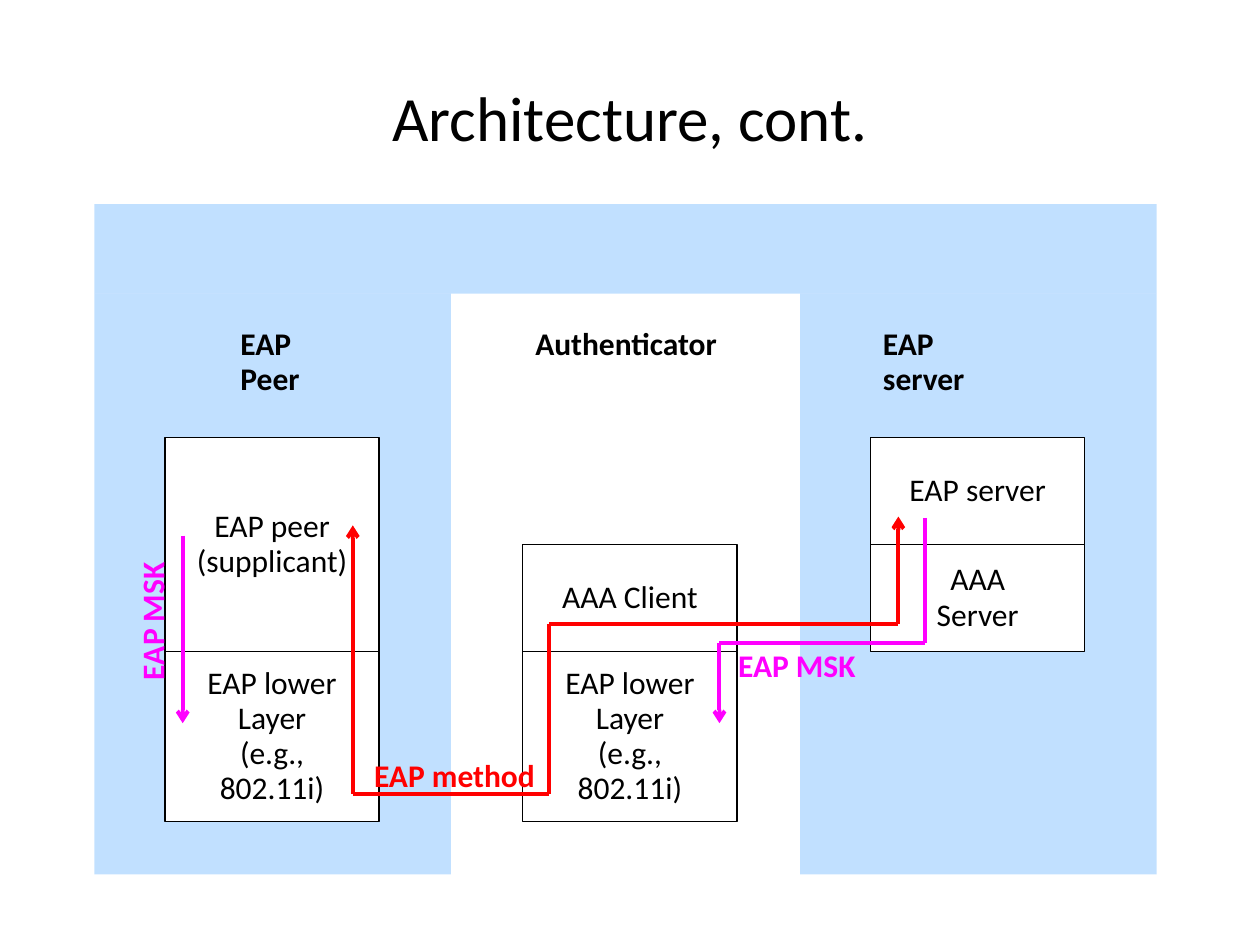
from dataclasses import dataclass

from lxml import etree
from pptx import Presentation
from pptx.dml.color import RGBColor
from pptx.enum.shapes import MSO_CONNECTOR, MSO_SHAPE
from pptx.enum.text import MSO_ANCHOR, MSO_AUTO_SIZE, PP_ALIGN
from pptx.oxml.ns import qn
from pptx.util import Inches, Pt

RECTANGLE = MSO_SHAPE.RECTANGLE
STRAIGHT = MSO_CONNECTOR.STRAIGHT
CENTER = PP_ALIGN.CENTER
MIDDLE = MSO_ANCHOR.MIDDLE
FIT_SHAPE = MSO_AUTO_SIZE.SHAPE_TO_FIT_TEXT
TITLE_ONLY_LAYOUT = 5


@dataclass(frozen=True)
class Theme:
    font: str = "Calibri"
    title_size: int = 36
    text_size: int = 18
    line_spacing: float = 0.93
    box_line: float = 0.75
    route_line: float = 2.25
    black: RGBColor = RGBColor(0x00, 0x00, 0x00)
    white: RGBColor = RGBColor(0xFF, 0xFF, 0xFF)
    band: RGBColor = RGBColor(0x33, 0x99, 0xFF)
    band_alpha: int = 30
    method: RGBColor = RGBColor(0xFF, 0x00, 0x00)
    msk: RGBColor = RGBColor(0xFF, 0x00, 0xFF)


THEME = Theme()

BOX_WIDTH = 1.7
LAYER_HEIGHT = 0.85
LOWER_HEIGHT = 1.35
TOP_Y = 3.47
CLIENT_Y = TOP_Y + LAYER_HEIGHT
LOWER_Y = CLIENT_Y + LAYER_HEIGHT
PEER_X, AUTHENTICATOR_X, SERVER_X = 1.31, 4.15, 6.91

LOWER_LAYER = "EAP lower\nLayer\n(e.g.,\n802.11i)"
BANDS = [
    (6.35, 2.33, 2.83, 4.61),
    (0.75, 2.33, 2.83, 4.61),
    (0.75, 1.62, 8.43, 0.71),
]
BOXES = [
    (PEER_X, TOP_Y, 2 * LAYER_HEIGHT, "EAP peer (supplicant)"),
    (PEER_X, LOWER_Y, LOWER_HEIGHT, LOWER_LAYER),
    (AUTHENTICATOR_X, CLIENT_Y, LAYER_HEIGHT, "AAA Client"),
    (AUTHENTICATOR_X, LOWER_Y, LOWER_HEIGHT, LOWER_LAYER),
    (SERVER_X, CLIENT_Y, LAYER_HEIGHT, "AAA\nServer"),
    (SERVER_X, TOP_Y, LAYER_HEIGHT, "EAP server"),
]
HEADINGS = [
    (1.81, 1.12, "EAP Peer"),
    (AUTHENTICATOR_X, 1.64, "Authenticator"),
    (SERVER_X, 1.3, "EAP server"),
]
SERVER_MSK_ROUTE = [(7.34, 4.11), (7.34, 5.1), (5.71, 5.1), (5.71, 5.74)]
PEER_MSK_ROUTE = [(1.45, 4.25), (1.45, 5.74)]
METHOD_ROUTE = [(2.8, 4.17), (2.8, 6.3), (4.36, 6.3), (4.36, 4.95),
                (7.13, 4.95), (7.13, 4.1)]


def inches(*lengths):
    return [Inches(length) for length in lengths]


def format_paragraph(paragraph, color, size=THEME.text_size, bold=False):
    paragraph.font.name = THEME.font
    paragraph.font.size = Pt(size)
    paragraph.font.bold = bold
    paragraph.font.color.rgb = color


def set_title(slide, text):
    title = slide.shapes.title
    title.left, title.top, title.width, title.height = inches(0.5, 0.3, 9, 1.25)
    title.text_frame.text = text
    title.text_frame.vertical_anchor = MIDDLE
    paragraph = title.text_frame.paragraphs[0]
    paragraph.alignment = CENTER
    format_paragraph(paragraph, THEME.black, THEME.title_size)


def add_rectangle(slide, bounds, color):
    shape = slide.shapes.add_shape(RECTANGLE, *inches(*bounds))
    shape.shadow.inherit = False
    shape.fill.solid()
    shape.fill.fore_color.rgb = color
    return shape


def add_band(slide, bounds):
    """Add a translucent background rectangle without an outline."""
    shape = add_rectangle(slide, bounds, THEME.band)
    shape.line.fill.background()
    color = shape.fill._xPr.find(qn("a:solidFill")).find(qn("a:srgbClr"))
    etree.SubElement(color, qn("a:alpha"), val=str(THEME.band_alpha * 1000))


def add_box(slide, left, top, height, text):
    shape = add_rectangle(slide, (left, top, BOX_WIDTH, height), THEME.white)
    shape.line.color.rgb = THEME.black
    shape.line.width = Pt(THEME.box_line)
    frame = shape.text_frame
    frame.text = text
    frame.word_wrap = True
    frame.vertical_anchor = MIDDLE
    for paragraph in frame.paragraphs:
        paragraph.alignment = CENTER
        paragraph.line_spacing = THEME.line_spacing
        format_paragraph(paragraph, THEME.black)


def add_label(slide, bounds, text, color, rotation=0, line_spacing=None):
    label = slide.shapes.add_textbox(*inches(*bounds))
    label.rotation = rotation
    frame = label.text_frame
    frame.text = text
    frame.word_wrap = False
    frame.auto_size = FIT_SHAPE
    paragraph = frame.paragraphs[0]
    paragraph.line_spacing = line_spacing
    format_paragraph(paragraph, color, bold=True)


def add_arrowhead(connector, end):
    line = connector.line._get_or_add_ln()
    etree.SubElement(line, qn(f"a:{end}"), type="arrow")


def add_route(slide, points, color, both_ends=False):
    """Join the points by straight lines, with an arrowhead at the last one."""
    segments = []
    for start, end in zip(points, points[1:]):
        segment = slide.shapes.add_connector(STRAIGHT, *inches(*start, *end))
        segment.line.color.rgb = color
        segment.line.width = Pt(THEME.route_line)
        etree.SubElement(segment._element.spPr, qn("a:effectLst"))
        segments.append(segment)
    if both_ends:
        add_arrowhead(segments[0], "headEnd")
    add_arrowhead(segments[-1], "tailEnd")


def main():
    presentation = Presentation()
    presentation.slide_width, presentation.slide_height = inches(10, 7.5)
    layout = presentation.slide_layouts[TITLE_ONLY_LAYOUT]
    slide = presentation.slides.add_slide(layout)

    set_title(slide, "Architecture, cont.")
    for bounds in BANDS:
        add_band(slide, bounds)
    for box in BOXES:
        add_box(slide, *box)
    for left, width, text in HEADINGS:
        add_label(slide, (left, 2.55, width, 0.37), text, THEME.black,
                  line_spacing=THEME.line_spacing)

    add_route(slide, SERVER_MSK_ROUTE, THEME.msk)
    add_route(slide, PEER_MSK_ROUTE, THEME.msk)
    add_route(slide, METHOD_ROUTE, THEME.method, both_ends=True)
    add_label(slide, (2.87, 5.95, 1.49, 0.4), "EAP method", THEME.method)
    add_label(slide, (0.64, 4.73, 1.13, 0.4), "EAP MSK", THEME.msk, rotation=270)
    add_label(slide, (5.76, 5.08, 1.13, 0.4), "EAP MSK", THEME.msk)

    presentation.save("out.pptx")


if __name__ == "__main__":
    main()
